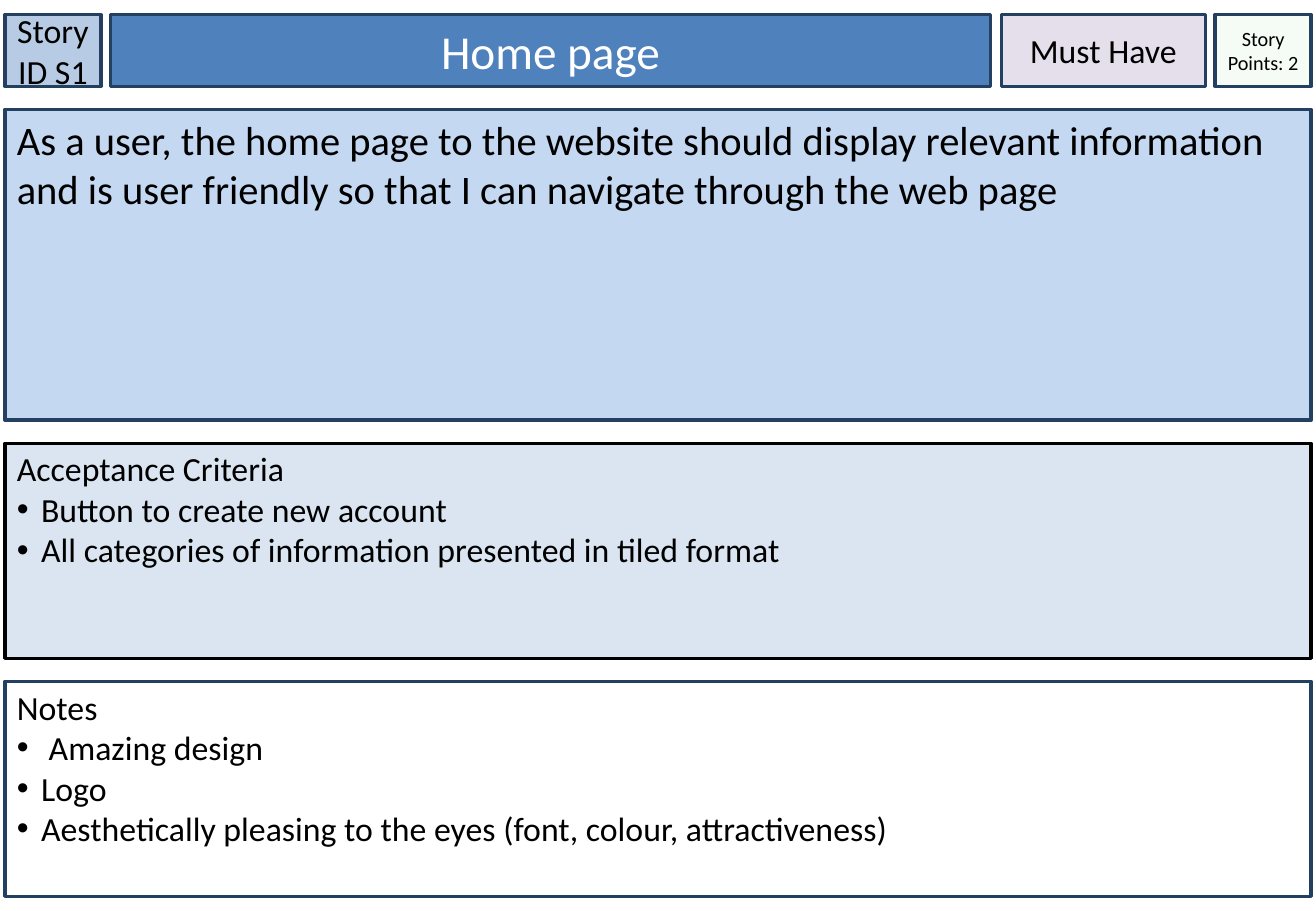
from lxml import etree
from pptx import Presentation
from pptx.dml.color import RGBColor
from pptx.enum.shapes import MSO_SHAPE
from pptx.enum.text import MSO_ANCHOR, MSO_AUTO_SIZE, PP_ALIGN
from pptx.oxml.ns import qn
from pptx.util import Inches, Pt

RECT = MSO_SHAPE.RECTANGLE
TOP, MIDDLE = MSO_ANCHOR.TOP, MSO_ANCHOR.MIDDLE
LEFT, CENTER = PP_ALIGN.LEFT, PP_ALIGN.CENTER
NO_FIT = MSO_AUTO_SIZE.NONE

BLACK = RGBColor(0x00, 0x00, 0x00)
WHITE = RGBColor(0xFF, 0xFF, 0xFF)
NAVY = RGBColor(0x24, 0x40, 0x61)
BLUE = RGBColor(0x4F, 0x81, 0xBD)
STEEL = RGBColor(0xB7, 0xCC, 0xE4)
SKY = RGBColor(0xC5, 0xD8, 0xF1)
PALE = RGBColor(0xDA, 0xE5, 0xF1)
LILAC = RGBColor(0xE5, 0xDF, 0xEC)
GREEN = RGBColor(0xCC, 0xF0, 0xCD)

FONT = "Calibri"
EDGE, WIDE = 0.04, 10.75
HEAD_TOP, HEAD_HIGH = 0.12, 0.59
BODY_TOP, GAP = 0.9, 0.19


def add_bullet(para):
    props = para._p.get_or_add_pPr()
    props.set("marL", str(Inches(0.2)))
    props.set("indent", str(-Inches(0.2)))
    color = etree.SubElement(props, qn("a:buClr"))
    etree.SubElement(color, qn("a:srgbClr"), val=str(BLACK))
    etree.SubElement(props, qn("a:buFont"), typeface="Arial")
    etree.SubElement(props, qn("a:buChar"), char="•")


def write(shape, text, points=(), size=20, color=BLACK, align=LEFT,
          anchor=TOP, side=0.1, top=0.05):
    frame = shape.text_frame
    frame.word_wrap = True
    frame.auto_size = NO_FIT
    frame.vertical_anchor = anchor
    frame.margin_left = frame.margin_right = Inches(side)
    frame.margin_top, frame.margin_bottom = Inches(top), Inches(0.05)
    for i, line in enumerate([text, *points]):
        para = frame.add_paragraph() if i else frame.paragraphs[0]
        if i:
            add_bullet(para)
        para.alignment = align
        run = para.add_run()
        run.text = line
        run.font.name = FONT
        run.font.size = Pt(size)
        run.font.color.rgb = color


def paint(shape, fill, line=NAVY, alpha=None):
    shape.fill.solid()
    shape.fill.fore_color.rgb = fill
    shape.line.color.rgb = line
    shape.line.width = Pt(2)
    if alpha is not None:
        color = shape.fill._xPr.find(".//" + qn("a:srgbClr"))
        etree.SubElement(color, qn("a:alpha"), val=str(alpha * 1000))


def add_box(slide, left, top, width, height, fill, line=NAVY, alpha=None):
    box = slide.shapes.add_shape(RECT, Inches(left), Inches(top),
                                 Inches(width), Inches(height))
    box.shadow.inherit = False
    paint(box, fill, line, alpha)
    return box


def add_title(slide, text):
    title = slide.shapes.title
    title.left, title.top = Inches(0.91), Inches(HEAD_TOP)
    title.width, title.height = Inches(7.24), Inches(HEAD_HIGH)
    paint(title, BLUE)
    write(title, text, size=28, color=WHITE, align=CENTER, anchor=MIDDLE)


def add_label(slide, text, left, width, fill, size=20, alpha=None):
    box = add_box(slide, left, HEAD_TOP, width, HEAD_HIGH, fill, alpha=alpha)
    write(box, text, size=size, align=CENTER, anchor=MIDDLE, side=0)


def main():
    deck = Presentation()
    deck.slide_width, deck.slide_height = Inches(10.83), Inches(7.5)
    slide = deck.slides.add_slide(deck.slide_layouts[5])

    # Header row
    add_title(slide, "Home page")
    add_label(slide, "Story ID S1", EDGE, 0.79, STEEL)
    add_label(slide, "Must Have", 8.24, 1.68, LILAC)
    add_label(slide, "Story Points: 2", 10, 0.79, GREEN, size=12, alpha=20)

    # Story, criteria and notes, stacked with equal gaps
    panels = [
        (2.56, SKY, NAVY, 24, 0.05,
         "As a user, the home page to the website should display relevant "
         "information and is user friendly so that I can navigate through "
         "the web page", []),
        (1.77, PALE, BLACK, 20, 0.04, "Acceptance Criteria",
         ["Button to create new account",
          "All categories of information presented in tiled format"]),
        (1.77, WHITE, NAVY, 20, 0.04, "Notes",
         [" Amazing design", "Logo",
          "Aesthetically pleasing to the eyes "
          "(font, colour, attractiveness)"]),
    ]
    top = BODY_TOP
    for height, fill, line, size, inset, text, points in panels:
        box = add_box(slide, EDGE, top, WIDE, height, fill, line)
        write(box, text, points, size=size, top=inset)
        top += height + GAP

    deck.save("out.pptx")


if __name__ == "__main__":
    main()
